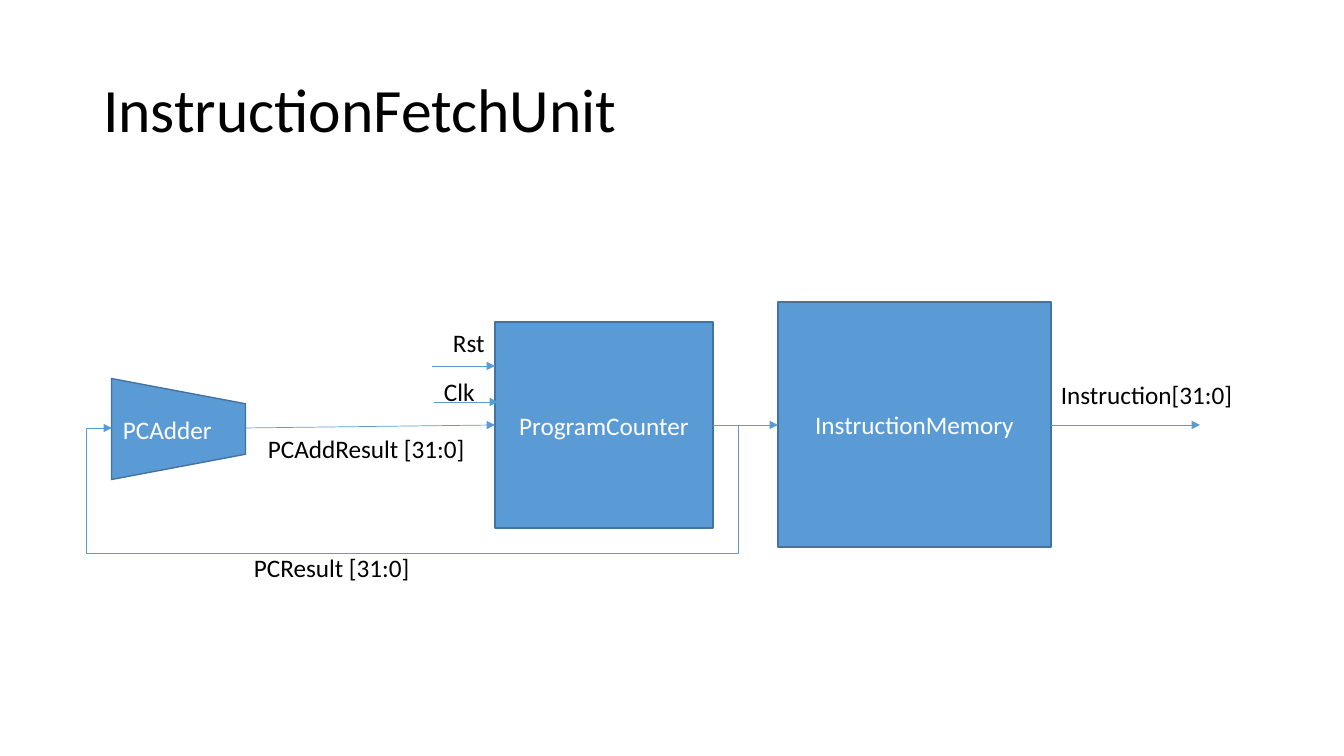
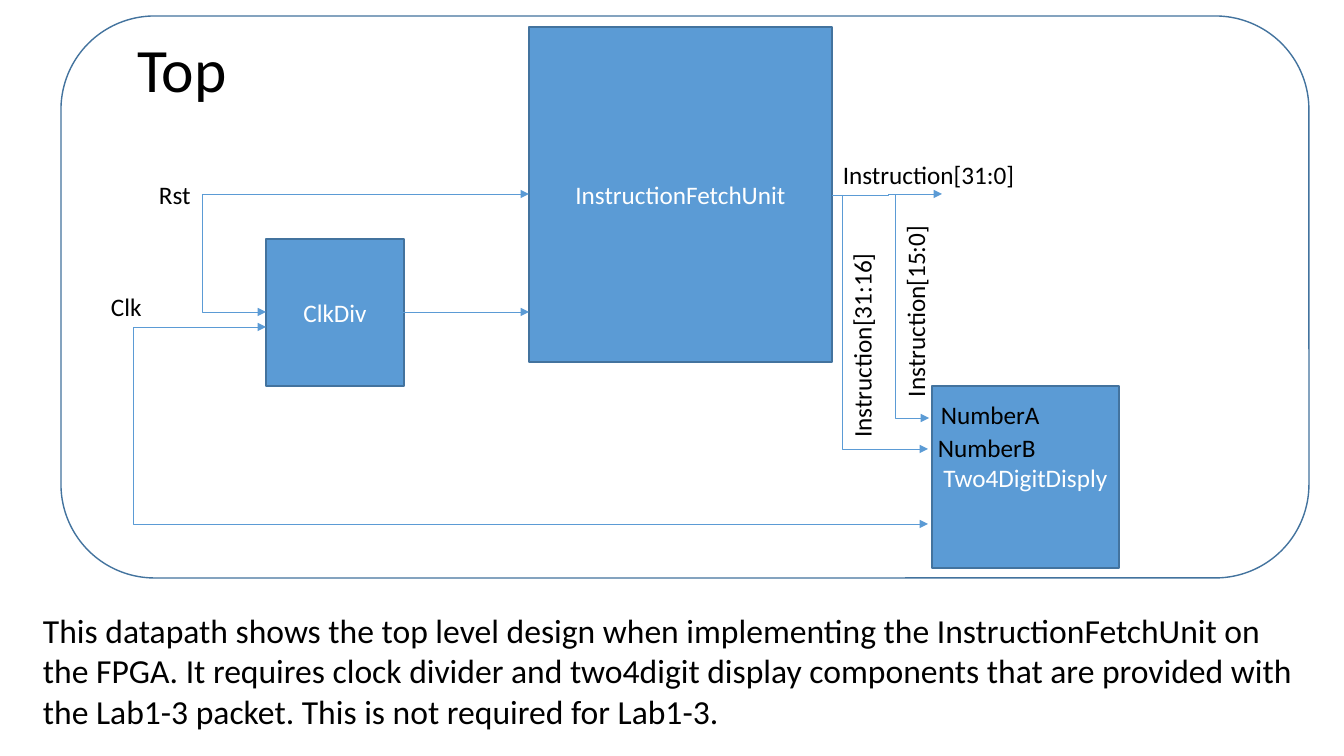
import pptx
import pptx.util
import pptx.dml.color
import pptx.enum.shapes
import pptx.enum.text
import pptx.oxml.ns
import lxml.etree

SCALE = 12192000 / 1344  # EMU for one pixel
SLIDE_SIZE = (1344, 756)
FONT = "Calibri"
LABEL_HEIGHT = 40
COLORS = {"block": "5B9BD5", "border": "43739E", "wire": "5B9BD5",
          "text": "000000", "block text": "FFFFFF"}

SHAPE = pptx.enum.shapes.MSO_SHAPE
CONNECTOR = pptx.enum.shapes.MSO_CONNECTOR
ALIGN = pptx.enum.text.PP_ALIGN
ANCHOR = pptx.enum.text.MSO_ANCHOR
AUTO_SIZE = pptx.enum.text.MSO_AUTO_SIZE
qn = pptx.oxml.ns.qn


def emu(pixels):
    return pptx.util.Emu(round(pixels * SCALE))


def color(name):
    return pptx.dml.color.RGBColor.from_string(COLORS[name])


def write(frame, text, size, color_name, align):
    frame.text = text
    for para in frame.paragraphs:
        para.alignment = align
        for span in para.runs:
            span.font.name = FONT
            span.font.size = pptx.util.Pt(size)
            span.font.color.rgb = color(color_name)


def add_title(page, text, box):
    title = page.shapes.title
    title.left, title.top, title.width, title.height = map(emu, box)
    frame = title.text_frame
    write(frame, text, 44, "text", ALIGN.LEFT)
    frame.word_wrap = True
    frame.auto_size = AUTO_SIZE.NONE
    frame.vertical_anchor = ANCHOR.MIDDLE
    frame.paragraphs[0].line_spacing = 0.9


def add_text(page, text, box, size, wrap):
    text_box = page.shapes.add_textbox(*map(emu, box))
    frame = text_box.text_frame
    write(frame, text, size, "text", ALIGN.LEFT)
    frame.word_wrap = wrap
    frame.auto_size = AUTO_SIZE.SHAPE_TO_FIT_TEXT
    return text_box


class Diagram:
    """Places blocks, labels and wires relative to the corner of a box."""

    def __init__(self, page, box):
        self.page = page
        self.left, self.top, self.width, self.height = box

    def place(self, x, y):
        return self.left + x, self.top + y

    def block(self, text, x, y, width, height, kind=SHAPE.RECTANGLE, filled=True):
        box = (*self.place(x, y), width, height)
        shape = self.page.shapes.add_shape(kind, *map(emu, box))
        shape.shadow.inherit = False
        shape.line.color.rgb = color("border")
        shape.line.width = pptx.util.Pt(1)
        if filled:
            shape.fill.solid()
            shape.fill.fore_color.rgb = color("block")
        else:
            shape.fill.background()
        if text:
            write(shape.text_frame, text, 18, "block text", ALIGN.CENTER)
            shape.text_frame.vertical_anchor = ANCHOR.MIDDLE
        return shape

    def label(self, text, x, y, width, rotation=0):
        box = (*self.place(x, y), width, LABEL_HEIGHT)
        add_text(self.page, text, box, 18, False).rotation = rotation

    def wire(self, start, end, bends=()):
        """Arrow from start to end; bends lists x, or x, y, x of the turns."""
        kind = CONNECTOR.ELBOW if bends else CONNECTOR.STRAIGHT
        points = (*self.place(*start), *self.place(*end))
        arrow = self.page.shapes.add_connector(kind, *map(emu, points))
        arrow.line.color.rgb = color("wire")
        arrow.line.width = pptx.util.Pt(0.5)
        properties = arrow.element.spPr
        outline = properties.find(qn("a:ln"))
        lxml.etree.SubElement(outline, qn("a:tailEnd"), type="triangle")
        lxml.etree.SubElement(properties, qn("a:effectLst"))
        if bends:
            geometry = properties.find(qn("a:prstGeom"))
            geometry.set("prst", f"bentConnector{len(bends) + 2}")
            guides = geometry.find(qn("a:avLst"))
            for index, bend in enumerate(bends):
                axis = index % 2
                share = (bend - start[axis]) / (end[axis] - start[axis])
                lxml.etree.SubElement(guides, qn("a:gd"), name=f"adj{index + 1}",
                                      fmla=f"val {round(share * 100000)}")


def draw_fetch_unit(page, box):
    diagram = Diagram(page, box)
    axis = 123

    # Blocks
    diagram.block("InstructionMemory", 692, 0, 273, 245)
    adder = diagram.block("PCAdder", 42, 60, 101, 134, SHAPE.TRAPEZOID)
    adder.rotation = 90
    adder.element.txBody.find(qn("a:bodyPr")).set("vert", "vert270")
    diagram.block("ProgramCounter", 409, 20, 218, 206)

    # Wires
    diagram.wire((160, axis + 3), (409, axis))
    diagram.wire((627, axis), (692, axis))
    diagram.wire((627, axis), (26, axis + 3), bends=(653, 251, 0))
    diagram.wire((965, axis), (1114, axis))
    diagram.wire((346, 64), (409, 64))
    diagram.wire((348, 100), (412, 100))

    # Signal names
    diagram.label("PCResult [31:0]", 158, 245, 177)
    diagram.label("Instruction[31:0]", 965, 72, 194)
    diagram.label("PCAddResult [31:0]", 172, 126, 219)
    diagram.label("Rst", 357, 20, 52)
    diagram.label("Clk", 348, 69, 51)


def draw_top_level(page, box):
    diagram = Diagram(page, box)
    reset, clock, divided, output = 178, 311, 296, 179

    # Frame and blocks
    diagram.block("", 0, 0, diagram.width, diagram.height,
                  SHAPE.ROUNDED_RECTANGLE, filled=False)
    diagram.block("InstructionFetchUnit", 468, 11, 303, 335)
    diagram.block("ClkDiv", 205, 223, 138, 147)
    diagram.block("Two4DigitDisply", 871, 370, 187, 182)

    # Reset and clock wires
    diagram.wire((141, reset), (468, reset))
    diagram.wire((141, reset), (205, divided), bends=(141,))
    diagram.wire((76, clock), (205, clock))
    diagram.wire((95, clock), (867, 508), bends=(73,))
    diagram.wire((339, divided), (468, divided))

    # Instruction wires
    diagram.wire((771, output), (881, output - 1), bends=(827,))
    diagram.wire((834, output), (868, 402), bends=(834,))
    diagram.wire((781, output), (867, 433), bends=(781,))

    # Signal names
    diagram.label("Rst", 88, 158, 52)
    diagram.label("Clk", 40, 270, 51)
    diagram.label("Instruction[31:0]", 772, 138, 194)
    diagram.label("Instruction[15:0]", 757, 274, 194, rotation=270)
    diagram.label("Instruction[31:16]", 697, 308, 207, rotation=270)
    diagram.label("NumberA", 870, 378, 120)
    diagram.label("NumberB", 867, 411, 119)


deck = pptx.Presentation()
deck.slide_width, deck.slide_height = map(emu, SLIDE_SIZE)
title_only = deck.slide_layouts[5]

# Fetch unit
page = deck.slides.add_slide(title_only)
add_title(page, "InstructionFetchUnit", (93, 40, 1159, 146))
draw_fetch_unit(page, (86, 302, 1159, 285))

# Top level
page = deck.slides.add_slide(title_only)
add_title(page, "Top", (127, 0, 1159, 146))
draw_top_level(page, (61, 16, 1248, 562))
add_text(page, "This datapath shows the top level design when implementing the "
         "InstructionFetchUnit on the FPGA. It requires clock divider and "
         "two4digit display components that are provided with the Lab1-3 "
         "packet. This is not required for Lab1-3. ",
         (33, 605, 1276, 132), 24, True)

deck.save("out.pptx")
